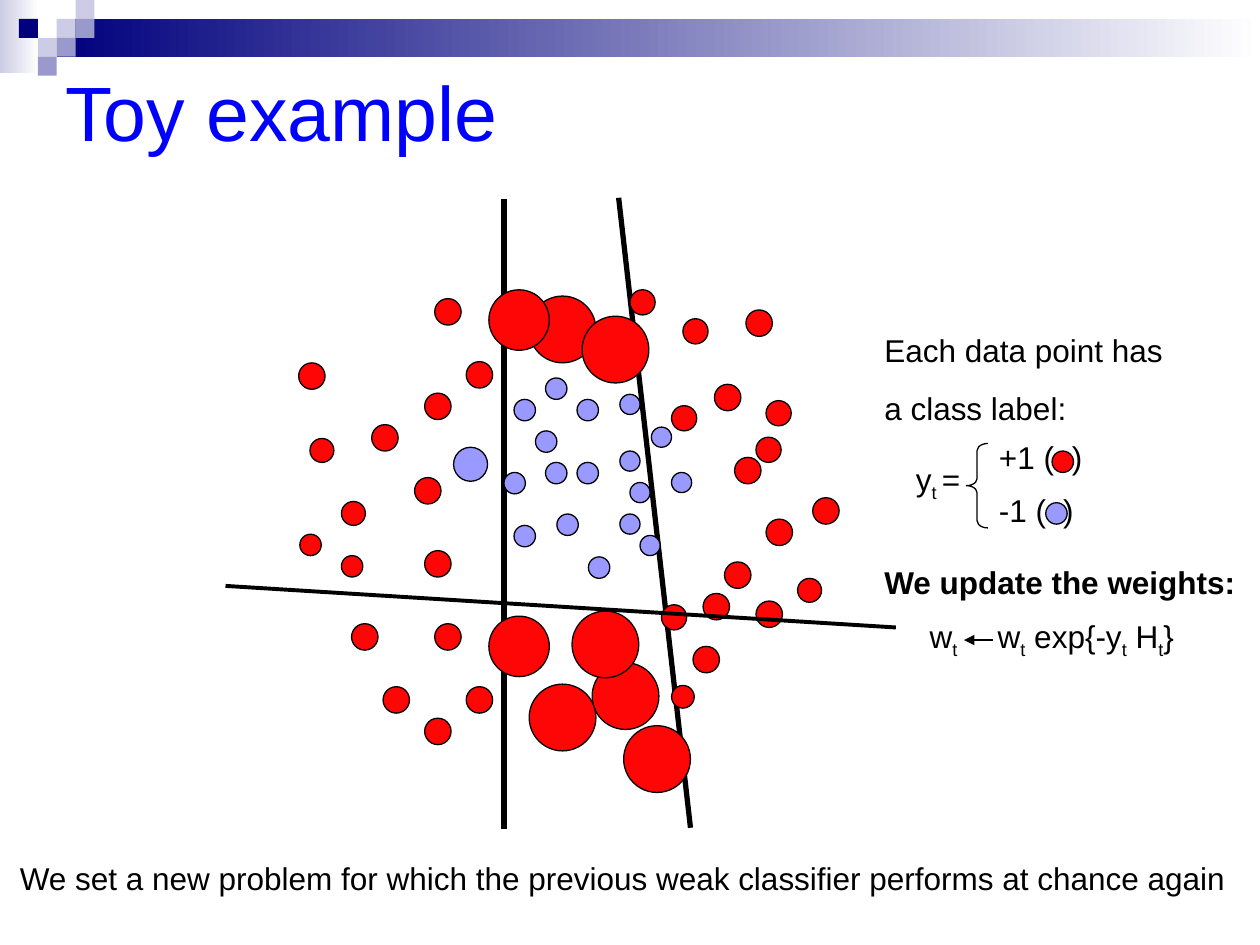
from lxml.etree import SubElement
from pptx import Presentation
from pptx.dml.color import RGBColor
from pptx.enum.shapes import MSO_CONNECTOR, MSO_SHAPE
from pptx.enum.text import MSO_ANCHOR
from pptx.oxml.ns import qn
from pptx.util import Inches, Pt

BLACK = "000000"
RED = "FE0606"
LILAC = "9999FF"
NAVY = "00007D"
PALE = "CCCCE6"
MAUVE = "9999CC"

NEGATIVE_POINTS = {
    0.17: [(3.58, 2.17), (3.33, 2.67), (3.08, 3.17), (3.58, 2.67), (3.42, 3.08), (3, 2.75),
           (3.08, 2.17), (3.67, 3.42), (3.25, 2.42), (3.33, 2)],
    0.16: [(3.92, 2.13), (4.17, 2.39), (3.92, 3.08), (4.33, 2.75), (3.92, 2.58), (4, 2.83),
           (4.08, 3.25)],
    0.27: [(2.6, 2.55)],
}
POSITIVE_POINTS = {
    0.17: [(1.38, 3.24), (1.71, 3.41)],
    0.18: [(4.33, 4.44)],
    0.19: [(5.33, 3.59), (1.46, 2.48), (1.71, 2.98)],
    0.2: [(5, 2.47), (4.33, 2.22), (4, 1.3), (5.08, 2.18), (4.25, 3.8), (4.42, 1.53)],
    0.21: [(5.08, 3.12), (4.75, 3.46), (5, 3.77), (5.45, 2.95), (1.37, 1.88), (1.95, 2.37),
           (2.45, 3.95), (2.37, 3.37), (2.37, 4.7), (2.7, 4.45), (2.45, 1.37), (2.37, 2.12),
           (2.7, 1.87), (4.92, 1.46), (4.67, 2.05), (1.79, 3.95), (2.29, 2.79), (2.04, 4.45),
           (4.83, 2.63), (4.5, 4.13), (4.58, 3.71)],
    0.53: [(3.7, 4.26), (3.54, 3.85), (3.2, 4.43), (3.95, 4.76), (3.2, 1.35), (3.62, 1.51)],
    0.48: [(2.88, 3.89), (2.88, 1.3)],
}


def color(value):
    """Turn a hex string into a colour."""
    return RGBColor.from_string(value)


def add_text(slide, left, top, width, height, paragraphs, size=18, fill=BLACK, bold=False,
             wrap=False, anchor=MSO_ANCHOR.TOP, gap=0, tab=None):
    """Place paragraphs, each a list of runs where a leading underscore marks a subscript."""
    box = slide.shapes.add_textbox(Inches(left), Inches(top), Inches(width), Inches(height))
    frame = box.text_frame
    frame.word_wrap = wrap
    frame.vertical_anchor = anchor
    for index, runs in enumerate(paragraphs):
        paragraph = frame.paragraphs[0] if index == 0 else frame.add_paragraph()
        if index and gap:
            paragraph.space_before = Pt(gap)
        if tab:
            stops = SubElement(paragraph._p.get_or_add_pPr(), qn("a:tabLst"))
            SubElement(stops, qn("a:tab"), pos=str(Inches(tab)), algn="l")
        for words in runs:
            run = paragraph.add_run()
            run.text = words.removeprefix("_")
            run.font.name = "Arial"
            run.font.size = Pt(size)
            run.font.bold = bold
            run.font.color.rgb = color(fill)
            if words.startswith("_"):
                run.font._element.set("baseline", "-25000")


def add_form(slide, preset, left, top, width, height, fill=None, line=None):
    """Place a preset shape with an optional fill and a thin optional outline."""
    form = slide.shapes.add_shape(preset, Inches(left), Inches(top), Inches(width), Inches(height))
    form.shadow.inherit = False
    if fill:
        form.fill.solid()
        form.fill.fore_color.rgb = color(fill)
    else:
        form.fill.background()
    if line:
        form.line.color.rgb = color(line)
        form.line.width = Pt(0.75)
    else:
        form.line.fill.background()
    return form


def add_fade(slide, left, top, width, height, start):
    """Place a rectangle that fades from a colour to white, left to right."""
    band = add_form(slide, MSO_SHAPE.RECTANGLE, left, top, width, height)
    band.fill.gradient()
    band.fill.gradient_angle = 0
    for stop, value, position in zip(band.fill.gradient_stops, (start, "FFFFFF"), (0, 1)):
        stop.color.rgb = color(value)
        stop.position = position


def add_point(slide, left, top, diameter, fill):
    """Place one data point."""
    add_form(slide, MSO_SHAPE.OVAL, left, top, diameter, diameter, fill, BLACK)


def add_line(slide, x1, y1, x2, y2, weight, arrow=False):
    """Place a straight black line with an optional arrowhead at its end."""
    line = slide.shapes.add_connector(
        MSO_CONNECTOR.STRAIGHT, Inches(x1), Inches(y1), Inches(x2), Inches(y2))
    line.line.color.rgb = color(BLACK)
    line.line.width = Pt(weight)
    if arrow:
        SubElement(line.line._get_or_add_ln(), qn("a:tailEnd"), type="triangle")
    SubElement(line._element.spPr, qn("a:effectLst"))


def add_header(slide, left, top, width):
    """Draw the fading band and its mosaic of squares."""
    tile = 0.15
    add_fade(slide, left, top, 0.31, 0.58, PALE)
    add_fade(slide, left + 3 * tile, top + tile, width - 3 * tile, 2 * tile, NAVY)
    mosaic = [(3, 1, PALE), (4, 0, PALE), (4, 1, MAUVE), (2, 2, PALE),
              (1, 1, NAVY), (3, 2, MAUVE), (2, 3, MAUVE)]
    for column, row, fill in mosaic:
        add_form(slide, MSO_SHAPE.RECTANGLE, left + column * tile, top + row * tile,
                 tile, tile, fill)


def add_scatter(slide, left, top):
    """Draw the weighted data points and the three weak classifiers."""
    add_line(slide, left + 3, top + 0.58, left + 3, top + 5.58, 3)
    add_line(slide, left + 3.91, top + 0.57, left + 4.48, top + 5.57, 3)
    for points, fill in ((NEGATIVE_POINTS, LILAC), (POSITIVE_POINTS, RED)):
        for diameter, corners in points.items():
            for x, y in corners:
                add_point(slide, left + x, top + y, diameter, fill)
    add_line(slide, left + 0.79, top + 3.65, left + 6.11, top + 3.98, 2.25)


def add_labels(slide, left, top):
    """Explain the class labels with a braced pair of cases."""
    add_text(slide, left, top, 2.5, 1.32, [["Each data point has"], ["a class label:"]],
             wrap=True, gap=11.2)
    add_text(slide, left + 0.25, top + 1.02, 0.55, 0.44, [["y", "_t ", "="]])
    brace = add_form(slide, MSO_SHAPE.LEFT_BRACE, left + 0.75, top + 0.94, 0.17, 0.67, line=BLACK)
    brace.adjustments[0] = 0.33
    add_text(slide, left + 0.91, top + 0.85, 0.86, 0.4, [["+1 (\t)"]], tab=0.58)
    add_text(slide, left + 0.91, top + 1.27, 0.79, 0.4, [["-1 (\t)"]], tab=0.51)
    add_point(slide, left + 1.43, top + 1, 0.17, RED)
    add_point(slide, left + 1.38, top + 1.41, 0.17, LILAC)


def add_update(slide, left, top):
    """State the rule that updates the weights."""
    add_text(slide, left, top, 2.99, 0.4, [["We update the weights:"]], bold=True)
    rule = ["w", "_t", "\tw", "_t", " exp{-y", "_t", " H", "_t", "}"]
    add_text(slide, left + 0.36, top + 0.43, 2.14, 0.44, [rule], tab=0.54)
    add_line(slide, left + 0.96, top + 0.66, left + 0.73, top + 0.66, 1, arrow=True)


def main():
    """Build the slide and save it."""
    deck = Presentation()
    deck.slide_width, deck.slide_height = Inches(10), Inches(7.5)
    slide = deck.slides.add_slide(deck.slide_layouts[6])
    add_header(slide, 0, 0, 10)
    add_text(slide, 0.42, 0.25, 9, 1.25, [["Toy example"]], size=44, fill="0000FF",
             wrap=True, anchor=MSO_ANCHOR.MIDDLE)
    add_text(slide, 0.06, 6.77, 9.77, 0.4, [[
        "We set a new problem for which the previous weak classifier performs at chance again"]])
    add_labels(slide, 6.92, 2.58)
    add_update(slide, 6.92, 4.42)
    add_scatter(slide, 1, 1)
    deck.save("out.pptx")


if __name__ == "__main__":
    main()
